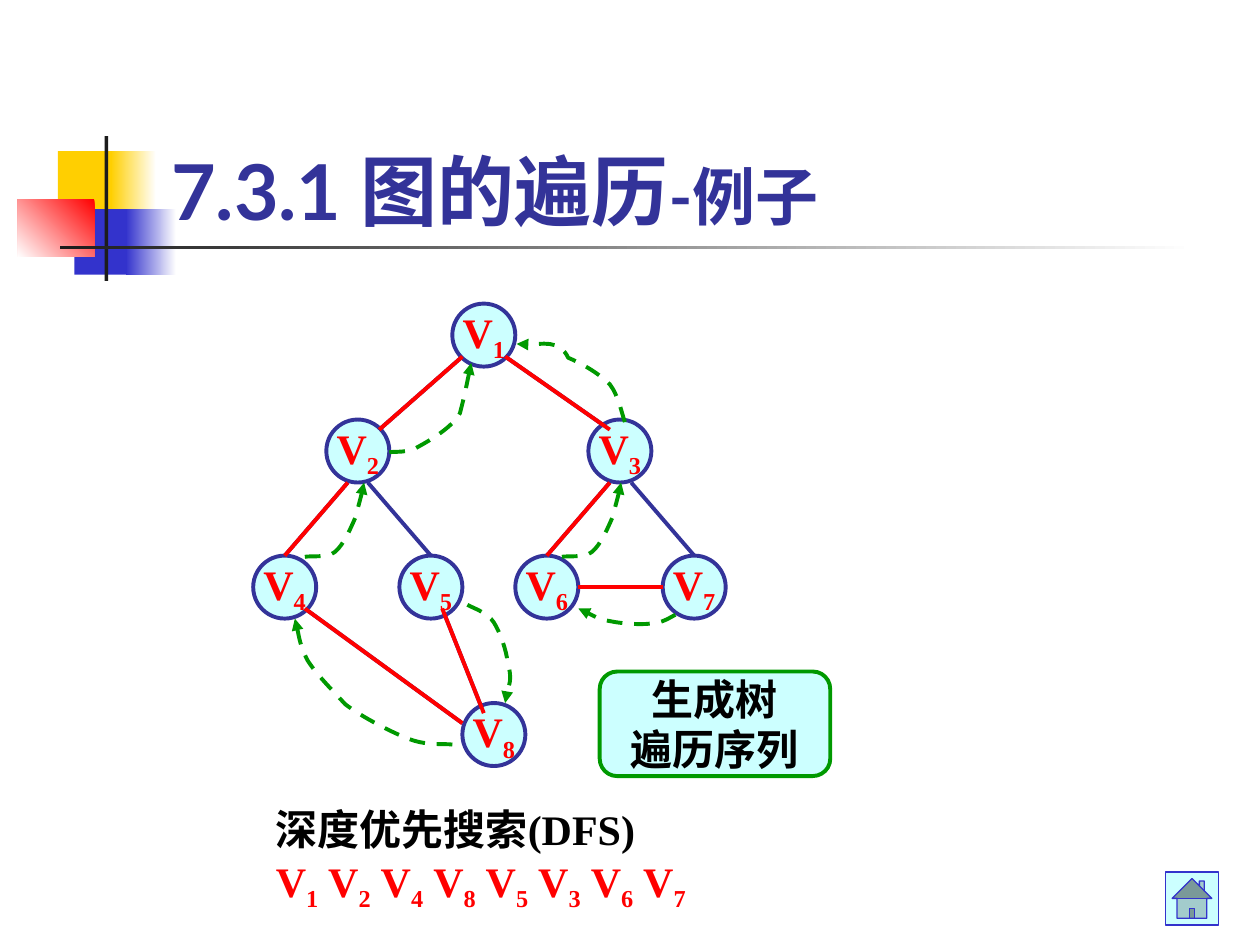
from lxml import etree
from pptx import Presentation
from pptx.dml.color import RGBColor
from pptx.enum.dml import MSO_LINE
from pptx.enum.shapes import MSO_CONNECTOR, MSO_SHAPE
from pptx.enum.text import MSO_ANCHOR, PP_ALIGN
from pptx.oxml.ns import qn
from pptx.util import Inches, Pt

RECTANGLE, OVAL = MSO_SHAPE.RECTANGLE, MSO_SHAPE.OVAL
ROUNDED, HOME = MSO_SHAPE.ROUNDED_RECTANGLE, MSO_SHAPE.ACTION_BUTTON_HOME
STRAIGHT, DASH = MSO_CONNECTOR.STRAIGHT, MSO_LINE.DASH
MIDDLE, BOTTOM, CENTER = MSO_ANCHOR.MIDDLE, MSO_ANCHOR.BOTTOM, PP_ALIGN.CENTER

NAVY, BLUE, RED, GREEN = "333399", "3333CC", "FF0000", "009900"
PALE, YELLOW, WHITE, INK, BLACK = "CCFFFF", "FFCF01", "FFFFFF", "1C1C1C", "000000"
SERIF, SANS = "Times New Roman", "Lato"

NODE_SIZE = 0.5
NODES = {"1": (1.58, 0), "2": (0.58, 0.92), "3": (2.66, 0.92), "4": (0, 2),
         "5": (1.16, 2), "6": (2.08, 2), "7": (3.25, 2), "8": (1.66, 3.17)}
TREE_EDGES = [(1.66, 0.42, 1, 1), (2, 0.42, 2.83, 1), (0.75, 1.42, 0.25, 2),
              (2.83, 1.42, 2.33, 2), (1.5, 2.42, 1.83, 3.25),
              (2.58, 2.25, 3.25, 2.25), (0.41, 2.42, 1.66, 3.33)]
OTHER_EDGES = [(0.91, 1.42, 1.41, 2), (3, 1.42, 3.5, 2)]
CLIMB = [(0.41, 2.01), (0.45, 2), (0.59, 2.02), (0.65, 1.97), (0.72, 1.91),
         (0.77, 1.79), (0.81, 1.7), (0.85, 1.55), (0.87, 1.48), (0.88, 1.42)]
ARROWS = [
    [(1.7, 2.39), (1.73, 2.41), (1.86, 2.45), (1.91, 2.53), (1.96, 2.61),
     (2.01, 2.75), (2.02, 2.85), (2.06, 2.99), (2, 3.1), (2, 3.17)],
    [(1.58, 3.5), (1.52, 3.49), (1.39, 3.51), (1.25, 3.46), (1.11, 3.41),
     (0.86, 3.28), (0.73, 3.18), (0.61, 3.05), (0.5, 2.94), (0.43, 2.83),
     (0.37, 2.71), (0.35, 2.57), (0.33, 2.5)],
    CLIMB,
    [(1.08, 1.18), (1.12, 1.17), (1.23, 1.19), (1.32, 1.13), (1.41, 1.08),
     (1.58, 0.98), (1.64, 0.87), (1.68, 0.72), (1.71, 0.56), (1.73, 0.47)],
    [(3.35, 2.47), (3.31, 2.49), (3.24, 2.54), (3.15, 2.54), (3.07, 2.55),
     (2.92, 2.54), (2.83, 2.52), (2.75, 2.51), (2.63, 2.44), (2.58, 2.42)],
    [(x + 2.04, y) for x, y in CLIMB],
    [(2.95, 0.94), (2.93, 0.89), (2.9, 0.73), (2.83, 0.64), (2.75, 0.56),
     (2.62, 0.48), (2.5, 0.43), (2.43, 0.28), (2.18, 0.34), (2.09, 0.32)],
]


def color(value):
    """Turn a hex string into a colour."""
    return RGBColor.from_string(value)


def write(para, text, size=24, font=SERIF, ink=BLACK, subscript=False):
    """Add one bold span of text to a paragraph."""
    span = para.add_run()
    span.text = text
    span.font.size, span.font.name, span.font.bold = Pt(size), font, True
    span.font.color.rgb = color(ink)
    if subscript:
        span.font._element.set("baseline", "-25000")


def write_vertex(para, number):
    """Write a vertex name with its subscript."""
    write(para, "V", ink=RED)
    write(para, number, ink=RED, subscript=True)


def add_block(page, kind, box, fill, line=None, width=2.25):
    """Add a preset shape with a solid fill and an optional outline."""
    shape = page.shapes.add_shape(kind, *map(Inches, box))
    shape.shadow.inherit = False
    shape.fill.solid()
    shape.fill.fore_color.rgb = color(fill)
    if line:
        shape.line.color.rgb = color(line)
        shape.line.width = Pt(width)
    else:
        shape.line.fill.background()
    return shape


def add_fade(page, box, start, end, angle=180):
    """Add a rectangle that fades between two colours."""
    shape = add_block(page, RECTANGLE, box, start)
    shape.fill.gradient()
    shape.fill.gradient_angle = angle
    for stop, value in zip(shape.fill.gradient_stops, (start, end)):
        stop.color.rgb = color(value)


def add_text_box(page, box):
    """Add a wrapping text box and return its frame."""
    frame = page.shapes.add_textbox(*map(Inches, box)).text_frame
    frame.word_wrap = True
    return frame


def center_text(shape):
    """Centre the text of a shape without wrapping and return its frame."""
    frame = shape.text_frame
    frame.word_wrap = False
    frame.vertical_anchor = MIDDLE
    return frame


def add_edges(page, left, top, edges, ink):
    """Add straight graph edges in one colour."""
    for x1, y1, x2, y2 in edges:
        ends = (left + x1, top + y1, left + x2, top + y2)
        edge = page.shapes.add_connector(STRAIGHT, *map(Inches, ends))
        edge.line.color.rgb = color(ink)
        edge.line.width = Pt(2.25)
        etree.SubElement(edge._element.spPr, qn("a:effectLst"))


def add_arrow(page, left, top, points):
    """Add a dashed curved arrow through Bezier control points."""
    places = [(Inches(left + x), Inches(top + y)) for x, y in points]
    builder = page.shapes.build_freeform(*places[0])
    builder.add_line_segments(places[1:], close=False)
    arrow = builder.convert_to_shape()
    outline = next(arrow._element.iter(qn("a:path")))
    steps = outline.findall(qn("a:lnTo"))
    for first in range(0, len(steps), 3):
        curve = etree.SubElement(outline, qn("a:cubicBezTo"))
        for step in steps[first:first + 3]:
            curve.append(step[0])
            outline.remove(step)
    arrow.shadow.inherit = False
    arrow.fill.background()
    arrow.line.color.rgb = color(GREEN)
    arrow.line.width = Pt(2.25)
    arrow.line.dash_style = DASH
    etree.SubElement(arrow.line._get_or_add_ln(), qn("a:tailEnd"), type="triangle")


def draw_ornament(page, left, top):
    """Draw the coloured squares and rules beside the title."""
    add_block(page, RECTANGLE, (left + 0.32, top + 0.12, 0.48, 0.52), YELLOW)
    add_fade(page, (left + 0.74, top + 0.12, 0.36, 0.52), WHITE, YELLOW)
    add_block(page, RECTANGLE, (left + 0.45, top + 0.58, 0.46, 0.52), BLUE)
    add_fade(page, (left + 0.86, top + 0.58, 0.4, 0.52), WHITE, BLUE)
    add_fade(page, (left, top + 0.5, 0.61, 0.46), RED, WHITE, angle=225)
    add_block(page, RECTANGLE, (left + 0.69, top, 0.03, 1.15), INK)
    add_fade(page, (left + 0.34, top + 0.87, 9, 0.03), WHITE, INK)


def draw_title(page, box):
    """Write the title on the bottom of its box."""
    frame = add_text_box(page, box)
    frame.vertical_anchor = BOTTOM
    write(frame.paragraphs[0], "7.3.1 图的遍历", size=44, font=SANS, ink=NAVY)
    write(frame.paragraphs[0], "-例子", size=36, font=SANS, ink=NAVY)


def draw_graph(page, left, top):
    """Draw the graph, its spanning tree and the backtracking arrows."""
    add_edges(page, left, top, TREE_EDGES + OTHER_EDGES, NAVY)
    for number, (x, y) in NODES.items():
        box = (left + x, top + y, NODE_SIZE, NODE_SIZE)
        para = center_text(add_block(page, OVAL, box, PALE, NAVY)).paragraphs[0]
        para.alignment = CENTER
        write_vertex(para, number)
    add_edges(page, left, top, TREE_EDGES, RED)
    for points in ARROWS:
        add_arrow(page, left, top, points)


def draw_sequence(page, left, top):
    """Write the search name and the order of the visited vertices."""
    frame = add_text_box(page, (left, top, 3.25, 0.5))
    write(frame.paragraphs[0], "深度优先搜索(DFS)")
    for place, number in enumerate("12485367"):
        box = (left + place * 5 / 12, top + 0.41, 0.58, 0.56)
        write_vertex(add_text_box(page, box).paragraphs[0], number)


def draw_caption(page, box):
    """Draw the rounded caption with two centred lines."""
    frame = center_text(add_block(page, ROUNDED, box, PALE, GREEN))
    for para, text in ((frame.paragraphs[0], "生成树"),
                       (frame.add_paragraph(), "遍历序列")):
        para.alignment = CENTER
        write(para, text)


def main():
    """Build the slide and save the deck."""
    deck = Presentation()
    deck.slide_width, deck.slide_height = Inches(10), Inches(7.5)
    page = deck.slides.add_slide(deck.slide_layouts[6])
    draw_ornament(page, 0.14, 1.08)
    draw_title(page, (1.26, 0.67, 8.52, 1.25))
    add_block(page, HOME, (9.25, 6.92, 0.42, 0.42), PALE, BLUE, width=0.75)
    draw_graph(page, 2.01, 2.41)
    draw_sequence(page, 2.09, 6.33)
    draw_caption(page, (4.76, 5.33, 1.83, 0.83))
    deck.save("out.pptx")


if __name__ == "__main__":
    main()
